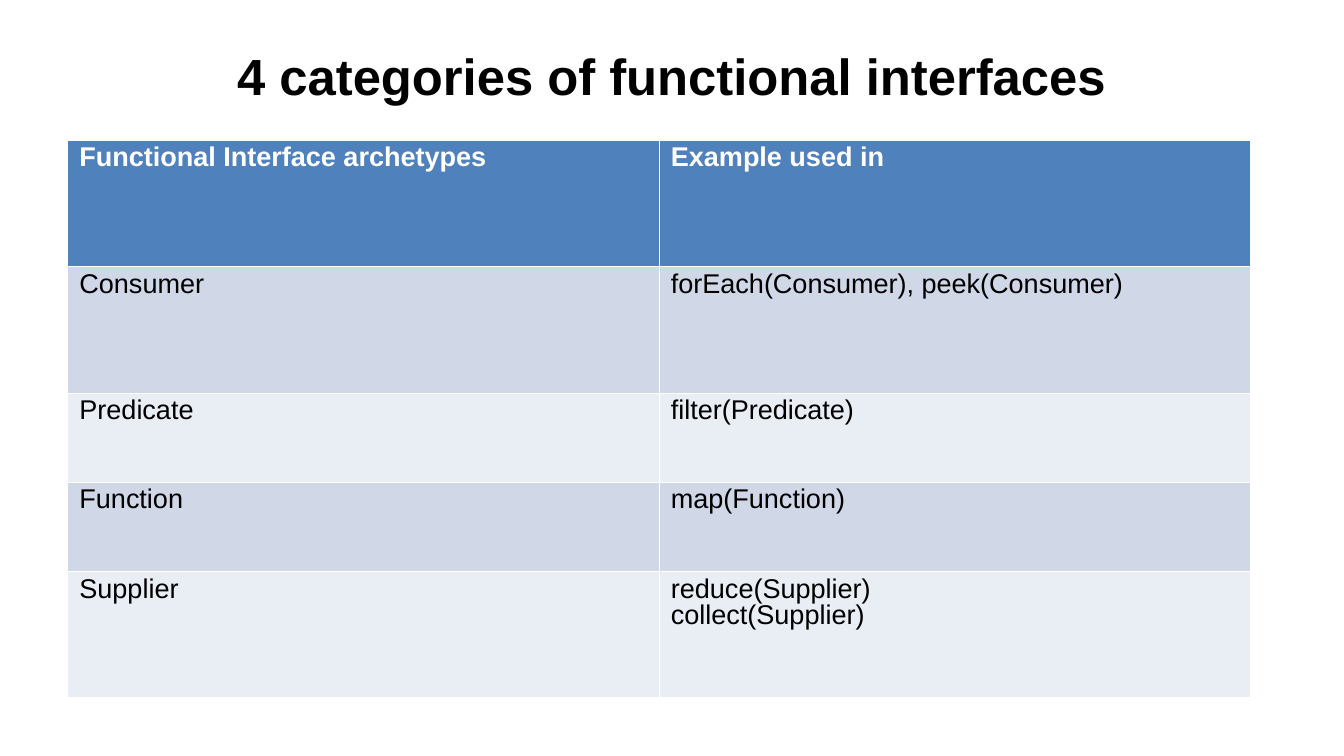
from lxml import etree
from pptx import Presentation
from pptx.dml.color import RGBColor
from pptx.enum.text import MSO_ANCHOR, PP_ALIGN
from pptx.oxml.ns import qn
from pptx.util import Pt

CENTER, LEFT = PP_ALIGN.CENTER, PP_ALIGN.LEFT
MIDDLE, TOP = MSO_ANCHOR.MIDDLE, MSO_ANCHOR.TOP

# Content
TITLE = "4 categories of functional interfaces"
ROWS = [
    (["Functional Interface archetypes"], ["Example used in"]),
    (["Consumer"], ["forEach(Consumer), peek(Consumer)"]),
    (["Predicate"], ["filter(Predicate)"]),
    (["Function"], ["map(Function)"]),
    (["Supplier"], ["reduce(Supplier)", "collect(Supplier)"]),
]

# Style
FONT = "Arial"
BLACK = RGBColor(0, 0, 0)
WHITE = RGBColor(255, 255, 255)
HEADER_FILL = RGBColor(0x4F, 0x81, 0xBD)
BAND_FILLS = [RGBColor(0xE9, 0xED, 0xF4), RGBColor(0xD0, 0xD8, 0xE8)]

# Layout, in points
SLIDE_W, SLIDE_H = 793.5, 446.5
LEFT_EDGE = 39.7
TITLE_TOP, TITLE_W, TITLE_H = 18, 714, 52.5
TABLE_TOP, COL_W = 82.5, 349.2
ROW_HEIGHTS = [74.7, 74.7, 52.7, 52.7, 74.7]
MARGIN_X, MARGIN_Y = 7.2, 3.6
BORDER_W = 0.06


def add_text(p, text, size, color, bold, align):
    p.alignment = align
    r = p.add_run()
    r.text = text
    r.font.name = FONT
    r.font.size = Pt(size)
    r.font.bold = bold
    r.font.color.rgb = color


def set_margins(box, x, y):
    box.margin_left = box.margin_right = Pt(x)
    box.margin_top = box.margin_bottom = Pt(y)


def add_borders(cell):
    tc_pr = cell._tc.get_or_add_tcPr()
    for side in ("lnL", "lnR", "lnT", "lnB"):
        ln = etree.SubElement(tc_pr, qn("a:" + side), w=str(Pt(BORDER_W)))
        fill = etree.SubElement(ln, qn("a:solidFill"))
        etree.SubElement(fill, qn("a:srgbClr"), val=str(WHITE))


prs = Presentation()
prs.slide_width, prs.slide_height = Pt(SLIDE_W), Pt(SLIDE_H)
s = prs.slides.add_slide(prs.slide_layouts[6])

# Table
table = s.shapes.add_table(
    len(ROWS), 2, Pt(LEFT_EDGE), Pt(TABLE_TOP),
    Pt(2 * COL_W), Pt(sum(ROW_HEIGHTS))).table
for col in table.columns:
    col.width = Pt(COL_W)
for i, (row, height) in enumerate(zip(ROWS, ROW_HEIGHTS)):
    table.rows[i].height = Pt(height)
    header = i == 0
    for j, lines in enumerate(row):
        cell = table.cell(i, j)
        add_borders(cell)
        cell.fill.solid()
        cell.fill.fore_color.rgb = HEADER_FILL if header else BAND_FILLS[i % 2]
        set_margins(cell, MARGIN_X, MARGIN_Y)
        cell.vertical_anchor = TOP
        tf = cell.text_frame
        for k, line in enumerate(lines):
            p = tf.add_paragraph() if k else tf.paragraphs[0]
            p.line_spacing = 0.87
            add_text(p, line, 16, WHITE if header else BLACK, header, LEFT)

# Title
sp = s.shapes.add_textbox(Pt(LEFT_EDGE), Pt(TITLE_TOP), Pt(TITLE_W), Pt(TITLE_H))
tf = sp.text_frame
tf.word_wrap = True
tf.vertical_anchor = MIDDLE
set_margins(tf, 0, 0)
add_text(tf.paragraphs[0], TITLE, 30, BLACK, True, CENTER)

prs.save("out.pptx")
